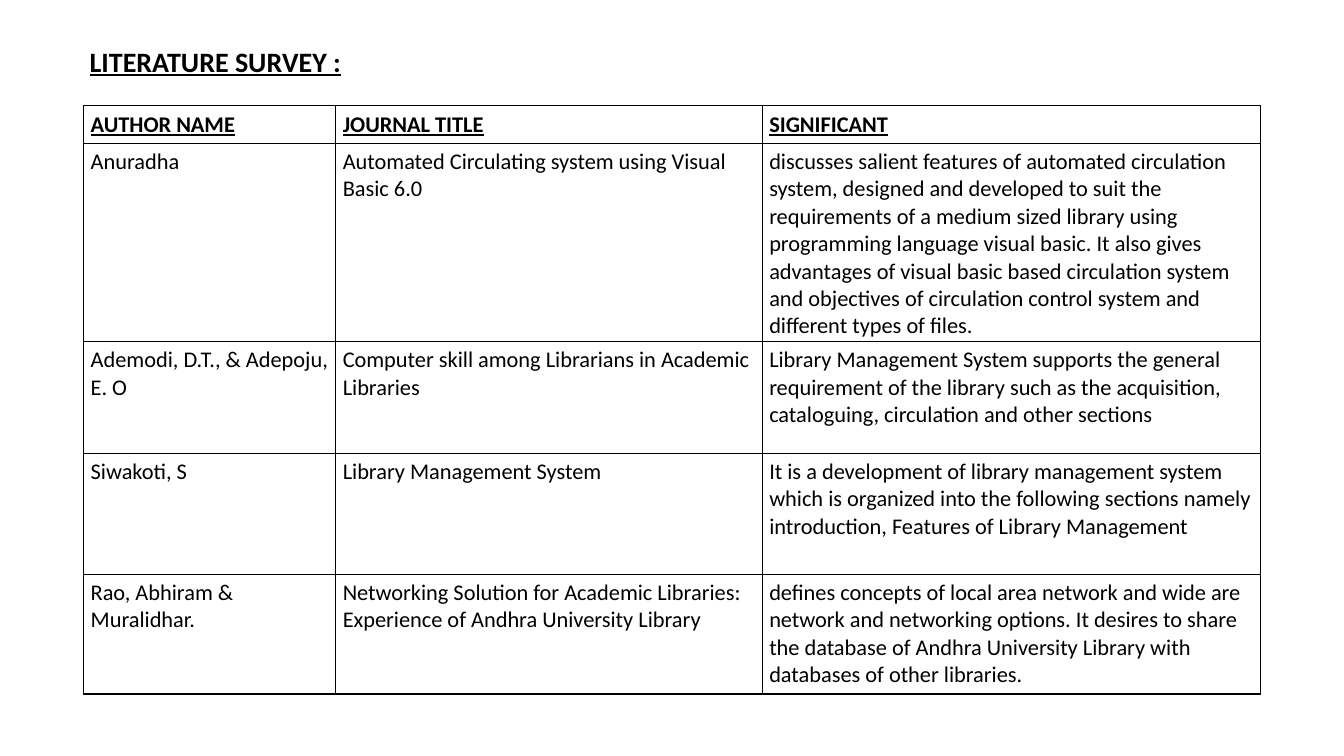
"""Build the literature survey slide: a heading above a table of five rows."""
from lxml.etree import SubElement
from pptx import Presentation
from pptx.dml.color import RGBColor
from pptx.enum.text import MSO_ANCHOR
from pptx.oxml.ns import qn
from pptx.util import Inches, Pt

THEME = {"font": "Calibri", "ink": "000000", "title": 20, "body": 16, "border": 1}
COLUMNS = [2.5, 4.23, 4.94]
ROWS = [0.37, 1.93, 1.11, 1.2, 1.19]
SURVEY = [
    ("AUTHOR NAME", "JOURNAL TITLE", "SIGNIFICANT"),
    ("Anuradha",
     "Automated Circulating system using Visual Basic 6.0",
     "discusses salient features of automated circulation system, designed and "
     "developed to suit the requirements of a medium sized library using "
     "programming language visual basic. It also gives advantages of visual basic "
     "based circulation system and objectives of circulation control system and "
     "different types of files."),
    ("Ademodi, D.T., & Adepoju, E. O",
     "Computer skill among Librarians in Academic Libraries",
     "Library Management System supports the general requirement of the library "
     "such as the acquisition, cataloguing, circulation and other sections"),
    ("Siwakoti, S",
     "Library Management System",
     "It is a development of library management system which is organized into the "
     "following sections namely introduction, Features of Library Management"),
    ("Rao, Abhiram & Muralidhar.",
     "Networking Solution for Academic Libraries: Experience of Andhra University "
     "Library",
     "defines concepts of local area network and wide are network and networking "
     "options. It desires to share the database of Andhra University Library with "
     "databases of other libraries."),
]


def write(frame, text, size, heading):
    frame.word_wrap = True
    para = frame.paragraphs[0]
    para.text = text
    font = para.font
    font.name = THEME["font"]
    font.size = Pt(size)
    font.bold = font.underline = heading
    font.color.rgb = RGBColor.from_string(THEME["ink"])
    return para


def add_borders(cell):
    properties = cell._tc.get_or_add_tcPr()
    for side in ("lnL", "lnR", "lnT", "lnB"):
        line = SubElement(properties, qn(f"a:{side}"), w=str(Pt(THEME["border"])))
        fill = SubElement(line, qn("a:solidFill"))
        SubElement(fill, qn("a:srgbClr"), val=THEME["ink"])


deck = Presentation()
deck.slide_width, deck.slide_height = Inches(13.33), Inches(7.5)
page = deck.slides.add_slide(deck.slide_layouts[6])

box = page.shapes.add_textbox(Inches(0.79), Inches(0.29), Inches(8.62), Inches(0.67))
box.text_frame.vertical_anchor = MSO_ANCHOR.MIDDLE
title = write(box.text_frame, "LITERATURE SURVEY :", THEME["title"], True)
title.line_spacing = 0.9

table = page.shapes.add_table(
    len(ROWS), len(COLUMNS), Inches(0.83), Inches(1.05),
    Inches(sum(COLUMNS)), Inches(sum(ROWS))).table
table.horz_banding = False
table.first_row = False
for column, width in zip(table.columns, COLUMNS):
    column.width = Inches(width)
for row_index, (row, height) in enumerate(zip(table.rows, ROWS)):
    row.height = Inches(height)
    for cell, text in zip(row.cells, SURVEY[row_index]):
        cell.margin_left = cell.margin_right = Inches(0.07)
        cell.margin_top = cell.margin_bottom = Inches(0.05)
        add_borders(cell)
        cell.fill.background()
        write(cell.text_frame, text, THEME["body"], row_index == 0)

deck.save("out.pptx")
